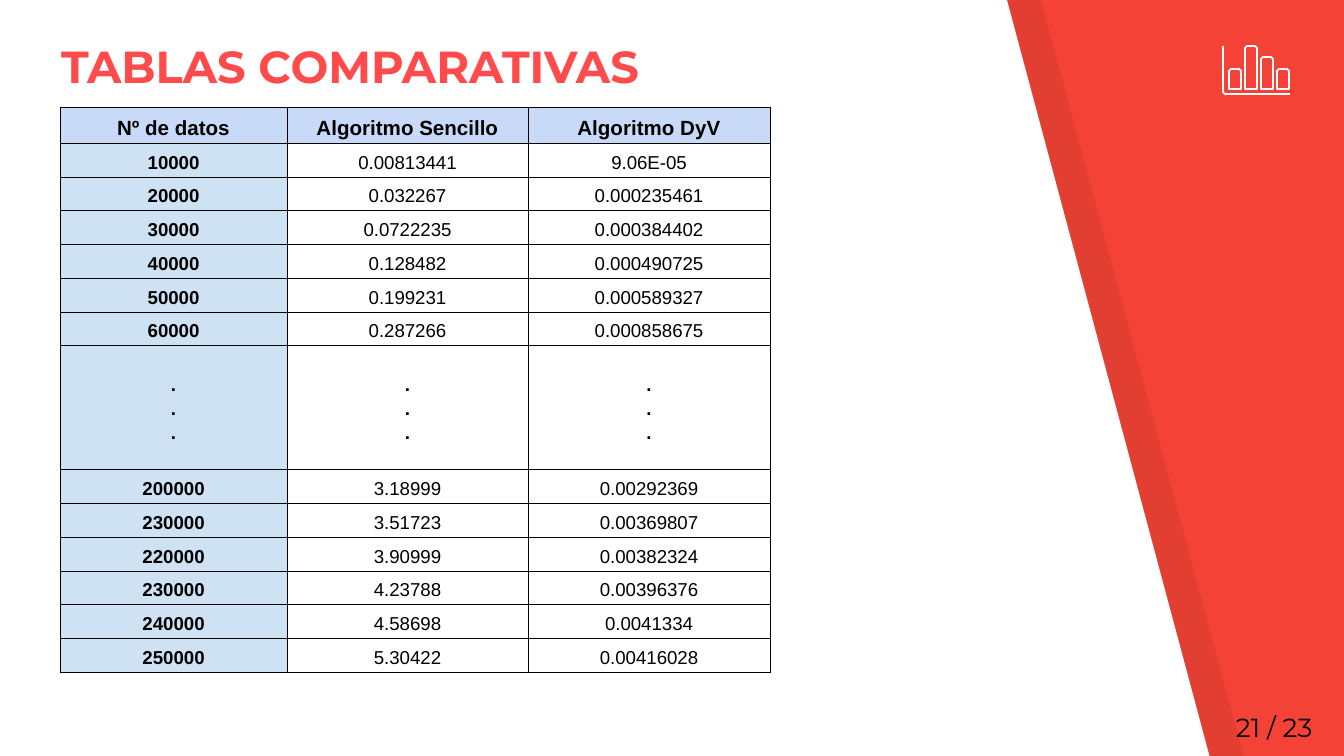
from lxml import etree
from pptx import Presentation
from pptx.dml.color import RGBColor
from pptx.enum.text import MSO_ANCHOR, PP_ALIGN
from pptx.oxml.ns import qn
from pptx.util import Pt

PX = 914400 / 134.4
TOP, MIDDLE, BOTTOM = MSO_ANCHOR.TOP, MSO_ANCHOR.MIDDLE, MSO_ANCHOR.BOTTOM
CENTER = PP_ALIGN.CENTER
COLORS = {"red": "F44336", "title": "FF4B4B", "black": "000000", "white": "FFFFFF",
          "header": "C9DAF8", "key": "CFE2F3"}

TEXTS = [
    ("TABLAS COMPARATIVAS", (48, 26, 778, 89), TOP,
     {"size": Pt(24), "name": "Montserrat", "bold": True}, "title"),
    ("21 / 23", (1223, 698, 116, 58), MIDDLE,
     {"size": Pt(14), "name": "Montserrat", "bold": False}, "black"),
]
DOTS = ".\n.\n."
ROWS = [
    ("Nº de datos", "Algoritmo Sencillo", "Algoritmo DyV"),
    ("10000", "0.00813441", "9.06E-05"),
    ("20000", "0.032267", "0.000235461"),
    ("30000", "0.0722235", "0.000384402"),
    ("40000", "0.128482", "0.000490725"),
    ("50000", "0.199231", "0.000589327"),
    ("60000", "0.287266", "0.000858675"),
    (DOTS, DOTS, DOTS),
    ("200000", "3.18999", "0.00292369"),
    ("230000", "3.51723", "0.00369807"),
    ("220000", "3.90999", "0.00382324"),
    ("230000", "4.23788", "0.00396376"),
    ("240000", "4.58698", "0.0041334"),
    ("250000", "5.30422", "0.00416028"),
]
TABLE_LEFT, TABLE_TOP = 60, 107
COL_WIDTHS = [227, 241, 242]
HEADER_H, ROW_H, DOTS_H = 34, 31, 124
CELL_MARGIN = 4

PANEL = [(0, -1), (0, 758), (1210, 758), (1007, 0)]
PANEL_SHADOW_DX = 34
AXIS = [(1223, 46), (1223, 92), (1225, 94), (1290, 94)]
BAR_LEFT, BAR_STEP, BAR_W, BAR_BASE, CORNER = 1229, 16, 12, 89, 2
BAR_TOPS = [69, 46, 57, 69]


def px(n):
    return round(n * PX)


def rgb(name):
    return RGBColor.from_string(COLORS[name])


def style_run(r, fmt, color):
    for key, value in fmt.items():
        setattr(r.font, key, value)
    r.font.color.rgb = rgb(color)


def add_outline(shapes, points, close=True, fill=None, line=None):
    builder = shapes.build_freeform(*points[0], scale=PX)
    builder.add_line_segments(points[1:], close=close)
    sp = builder.convert_to_shape()
    sp.shadow.inherit = False
    if fill:
        sp.fill.solid()
        sp.fill.fore_color.rgb = rgb(fill)
    else:
        sp.fill.background()
    if line:
        sp.line.color.rgb = rgb(line)
        sp.line.width = Pt(0.96)
    else:
        sp.line.fill.background()
    return sp


def add_panel(shapes):
    shadow = [(x + PANEL_SHADOW_DX, y) for x, y in PANEL]
    sp = add_outline(shapes, shadow, fill="black")
    color = sp._element.spPr.find(qn("a:solidFill"))[0]
    etree.SubElement(color, qn("a:alpha"), val="7000")
    add_outline(shapes, PANEL, fill="white")


def add_text(shapes, text, box, anchor, fmt, color):
    tf = shapes.add_textbox(*map(px, box)).text_frame
    tf.word_wrap = True
    tf.vertical_anchor = anchor
    for side in ("left", "top", "right", "bottom"):
        setattr(tf, f"margin_{side}", px(13))
    r = tf.paragraphs[0].add_run()
    r.text = text
    style_run(r, fmt, color)


def add_icon(shapes):
    add_outline(shapes, AXIS, close=False, line="white")
    for i, top in enumerate(BAR_TOPS):
        left = BAR_LEFT + i * BAR_STEP
        right = left + BAR_W
        bar = [(right, BAR_BASE), (right, top + CORNER), (right - CORNER, top),
               (left + CORNER, top), (left, top + CORNER), (left, BAR_BASE)]
        add_outline(shapes, bar, line="white")


def add_borders(cell):
    tc_pr = cell._tc.get_or_add_tcPr()
    for edge in ("lnL", "lnR", "lnT", "lnB"):
        ln = etree.SubElement(tc_pr, qn(f"a:{edge}"), w=str(Pt(0.5)))
        fill = etree.SubElement(ln, qn("a:solidFill"))
        etree.SubElement(fill, qn("a:srgbClr"), val=COLORS["black"])


def fill_cell(cell, text, row, col):
    add_borders(cell)
    if row == 0 or col == 0:
        cell.fill.solid()
        cell.fill.fore_color.rgb = rgb("key" if row else "header")
    else:
        cell.fill.background()
    cell.vertical_anchor = MIDDLE if text == DOTS else BOTTOM
    for side in ("left", "top", "right", "bottom"):
        setattr(cell, f"margin_{side}", px(CELL_MARGIN))
    fmt = {"size": Pt(10 if row else 11), "name": "Arial",
           "bold": row == 0 or col == 0 or text == DOTS}
    cell.text = text
    for p in cell.text_frame.paragraphs:
        p.alignment = CENTER
        p.line_spacing = 1.15
        style_run(p.runs[0], fmt, "black")


def add_data_table(shapes):
    heights = [DOTS_H if row[0] == DOTS else ROW_H for row in ROWS]
    heights[0] = HEADER_H
    box = (TABLE_LEFT, TABLE_TOP, sum(COL_WIDTHS), sum(heights))
    table = shapes.add_table(len(ROWS), len(COL_WIDTHS), *map(px, box)).table
    table.first_row = table.horz_banding = False
    for column, width in zip(table.columns, COL_WIDTHS):
        column.width = px(width)
    for i, (row, height) in enumerate(zip(ROWS, heights)):
        table.rows[i].height = px(height)
        for j, text in enumerate(row):
            fill_cell(table.cell(i, j), text, i, j)


def main():
    prs = Presentation()
    prs.slide_width, prs.slide_height = px(1344), px(756)
    slide = prs.slides.add_slide(prs.slide_layouts[6])
    slide.background.fill.solid()
    slide.background.fill.fore_color.rgb = rgb("red")
    add_panel(slide.shapes)
    for item in TEXTS:
        add_text(slide.shapes, *item)
    add_icon(slide.shapes)
    add_data_table(slide.shapes)
    prs.save("out.pptx")


if __name__ == "__main__":
    main()
